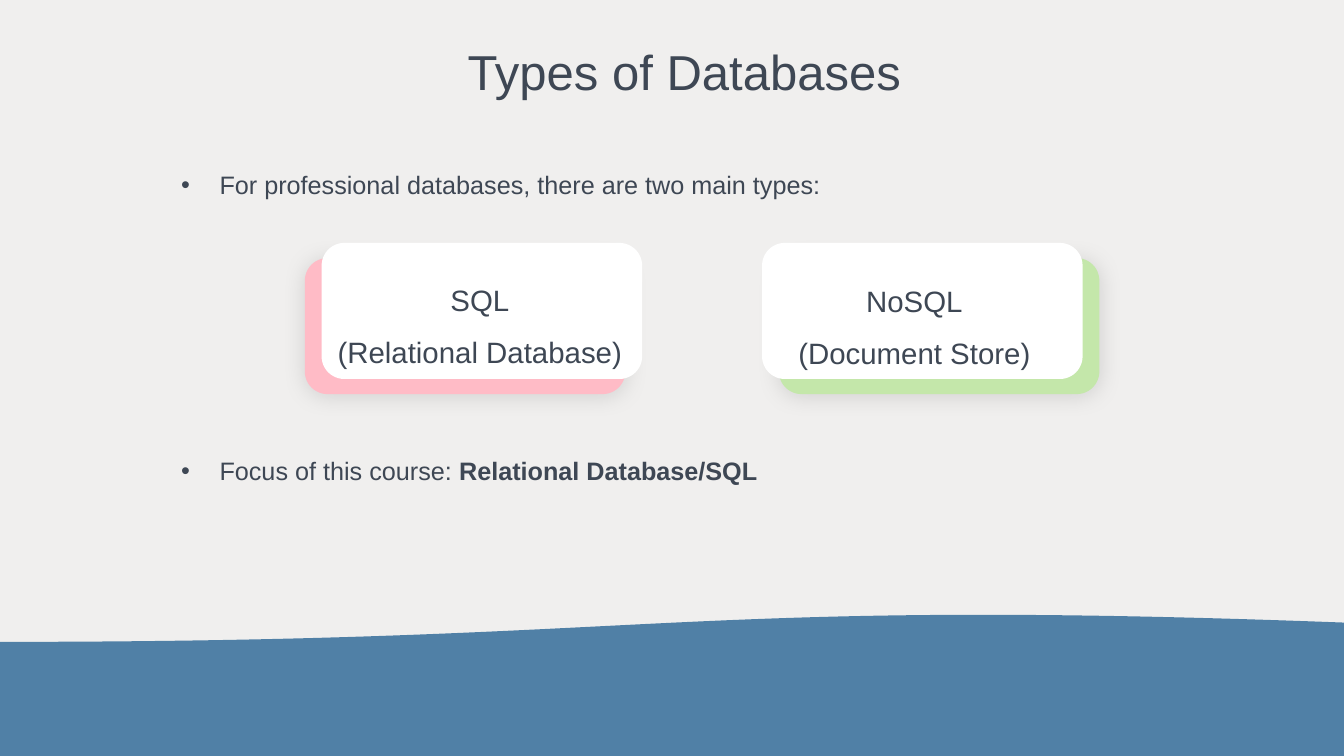
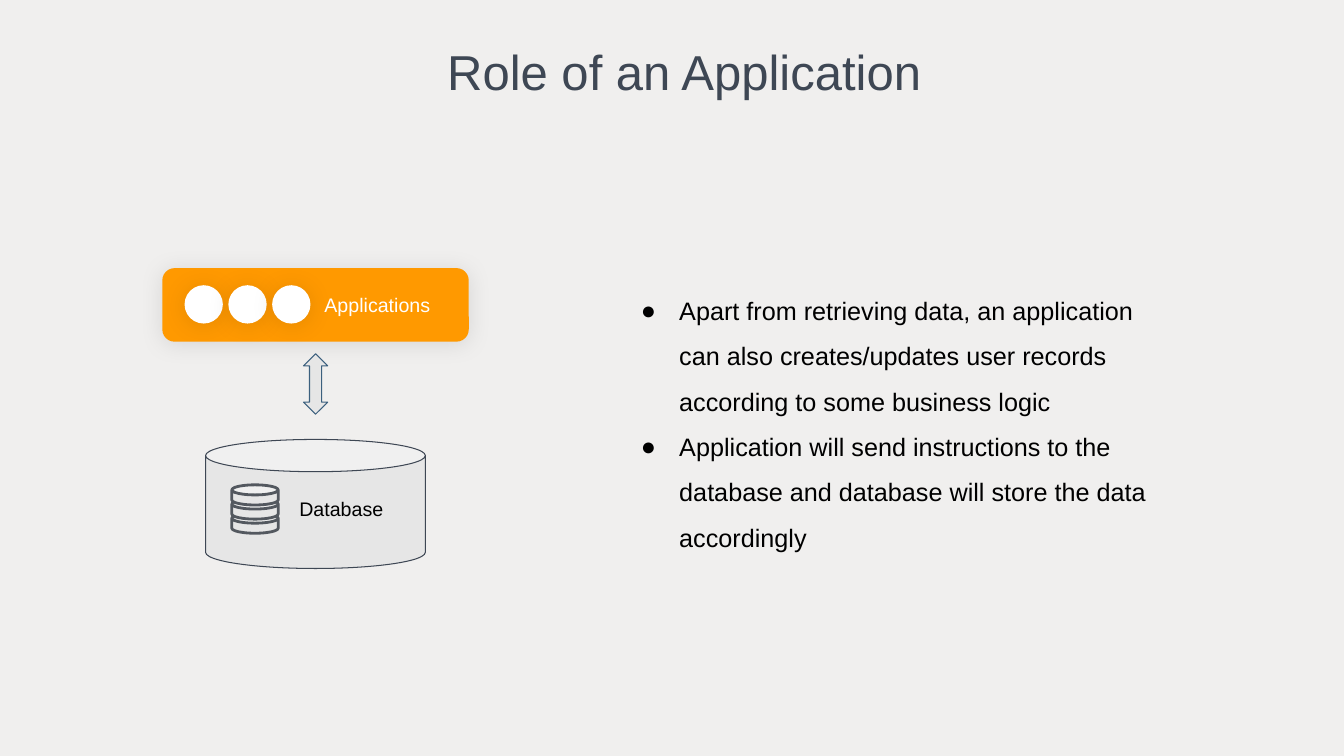
from lxml.etree import SubElement
from pptx import Presentation
from pptx.dml.color import RGBColor
from pptx.enum.shapes import MSO_SHAPE
from pptx.enum.text import MSO_ANCHOR, PP_ALIGN
from pptx.oxml.ns import qn
from pptx.util import Inches, Pt

COLORS = {
    "background": "F0EFEE", "ink": "3E4754", "wave": "5080A6",
    "white": "FFFFFF", "black": "000000", "pink": "FFBBC6",
    "green": "C4E7AA", "orange": "FF9900", "gray": "E6E6E6",
    "arrow": "3C607E", "icon": "53585F",
}
FONT = "Arial"

# Content; every area is left, top, width, height in percent of the slide
TITLE_AREA = (8.78, 2.13, 84.3, 15.47)
TYPES = {
    "title": "Types of Databases",
    "wave": (0, 81.07, 100, 19.33),
    "points": [
        ((11.85, 19.73, 77.18, 18),
         [("For professional databases, there are two main types:", False)]),
        ((11.85, 57.6, 77.18, 11.87),
         [("Focus of this course: ", False), ("Relational Database/SQL", True)]),
    ],
    # Card left, label left, label top, side of the coloured edge, its colour
    "cards": [
        (23.93, 21.9, 34.27, -1, "pink", ["SQL", "(Relational Database)"]),
        (56.7, 54.23, 34.4, 1, "green", ["NoSQL", "(Document Store)"]),
    ],
}
CARD_TOP, CARD_SIZE, CARD_SHIFT = 32.13, (23.85, 18), (1.25, 2)
LABEL_SIZE = (27.6, 14.53)

ROLE = {
    "title": "Role of an Application",
    "points": [
        "Apart from retrieving data, an application can also creates/updates "
        "user records according to some business logic",
        "Application will send instructions to the database and database will "
        "store the data accordingly",
    ],
    "points_area": (46.05, 35.73, 40.73, 37.07),
    "applications": (12.08, 35.47, 22.8, 9.73),
    "arrow": (22.58, 46.8, 1.8, 8),
    "database": (15.3, 58.13, 16.35, 17.07),
    "labels": [
        ("Applications", (23.4, 37.47, 10, 5.87), "white"),
        ("Database", (21.53, 64.4, 8.5, 5.87), "black"),
    ],
}
ICON_COUNT, ICON_STEP = 3, 3.26
ICON_AREA = (13.73, 37.73, 2.85, 5.07)
DISC_COUNT, DISC_STEP = 3, 1.87
DISC_AREA = (17.25, 64.13, 3.45, 2.67)

deck = Presentation()
deck.slide_width, deck.slide_height = Inches(13.33), Inches(7.5)


def color(name):
    return RGBColor.from_string(COLORS[name])


def place(area):
    left, top, width, height = area
    return (int(deck.slide_width * left / 100), int(deck.slide_height * top / 100),
            int(deck.slide_width * width / 100), int(deck.slide_height * height / 100))


def add_shadow(shape, opacity):
    effects = shape._element.spPr.find(qn("a:effectLst"))
    shadow = SubElement(effects, qn("a:outerShdw"), blurRad=str(Pt(16.9)),
                        dist=str(Pt(1.5)), dir="5400000", algn="t", rotWithShape="0")
    tint = SubElement(shadow, qn("a:srgbClr"), val=COLORS["black"])
    SubElement(tint, qn("a:alpha"), val=str(opacity * 1000))


def add_shape(page, kind, area, fill, line=None, weight=0.75, opacity=0):
    shape = page.shapes.add_shape(kind, *place(area))
    shape.shadow.inherit = False
    shape.fill.solid()
    shape.fill.fore_color.rgb = color(fill)
    if line:
        shape.line.color.rgb = color(line)
        shape.line.width = Pt(weight)
    else:
        shape.line.fill.background()
    if opacity:
        add_shadow(shape, opacity)
    return shape


def add_bullet(para, symbol, ink):
    settings = para._p.get_or_add_pPr()
    settings.set("marL", str(Inches(0.5)))
    settings.set("indent", str(Inches(-0.38)))
    tint = SubElement(settings, qn("a:buClr"))
    SubElement(tint, qn("a:srgbClr"), val=COLORS[ink])
    SubElement(settings, qn("a:buFont"), typeface=FONT)
    SubElement(settings, qn("a:buChar"), char=symbol)


def add_text(page, area, paragraphs, size, ink="ink", align=PP_ALIGN.LEFT,
             spacing=1.5, bullet=None, inset=0.05, anchor=MSO_ANCHOR.TOP):
    """Each paragraph is a list of (text, bold) spans."""
    box = page.shapes.add_textbox(*place(area))
    frame = box.text_frame
    frame.word_wrap = True
    frame.vertical_anchor = anchor
    frame.margin_left = frame.margin_right = Inches(0.1)
    frame.margin_top = frame.margin_bottom = Inches(inset)
    for index, spans in enumerate(paragraphs):
        para = frame.add_paragraph() if index else frame.paragraphs[0]
        para.alignment = align
        para.line_spacing = spacing
        if bullet:
            add_bullet(para, bullet, ink)
        for text, bold in spans:
            span = para.add_run()
            span.text = text
            span.font.name = FONT
            span.font.size = Pt(size)
            span.font.bold = bold
            span.font.color.rgb = color(ink)


def plain(lines):
    return [[(line, False)] for line in lines]


def add_page(title):
    page = deck.slides.add_slide(deck.slide_layouts[6])
    page.background.fill.solid()
    page.background.fill.fore_color.rgb = color("background")
    add_text(page, TITLE_AREA, plain([title]), 35, align=PP_ALIGN.CENTER,
             spacing=0.9, anchor=MSO_ANCHOR.MIDDLE)
    return page


def build_types():
    page = add_page(TYPES["title"])
    wave = add_shape(page, MSO_SHAPE.FLOWCHART_DOCUMENT, TYPES["wave"], "wave")
    wave.rotation = 180
    # Cards with a coloured edge behind
    for left, label_left, label_top, side, edge, lines in TYPES["cards"]:
        shift_x, shift_y = CARD_SHIFT
        add_shape(page, MSO_SHAPE.ROUNDED_RECTANGLE,
                  (left + side * shift_x, CARD_TOP + shift_y, *CARD_SIZE),
                  edge, opacity=13)
        add_shape(page, MSO_SHAPE.ROUNDED_RECTANGLE,
                  (left, CARD_TOP, *CARD_SIZE), "white")
        add_text(page, (label_left, label_top, *LABEL_SIZE), plain(lines), 21,
                 align=PP_ALIGN.CENTER)
    for area, spans in TYPES["points"]:
        add_text(page, area, [spans], 18, bullet="•")


def build_role():
    page = add_page(ROLE["title"])
    # Applications bar with plain app icons
    add_shape(page, MSO_SHAPE.ROUNDED_RECTANGLE, ROLE["applications"],
              "orange", opacity=9)
    left, top, width, height = ICON_AREA
    for index in range(ICON_COUNT):
        add_shape(page, MSO_SHAPE.OVAL,
                  (left + index * ICON_STEP, top, width, height), "white", opacity=9)
    # Arrow and database, discs stacked from the bottom up
    add_shape(page, MSO_SHAPE.UP_DOWN_ARROW, ROLE["arrow"], "gray", "arrow")
    add_shape(page, MSO_SHAPE.CAN, ROLE["database"], "gray", "ink")
    left, top, width, height = DISC_AREA
    for index in reversed(range(DISC_COUNT)):
        disc = add_shape(page, MSO_SHAPE.CAN,
                         (left, top + index * DISC_STEP, width, height),
                         "gray", "icon", 2)
        disc.adjustments[0] = 0.5
    for text, area, ink in ROLE["labels"]:
        add_text(page, area, plain([text]), 14, ink, spacing=1, inset=0.1)
    add_text(page, ROLE["points_area"], plain(ROLE["points"]), 18, "black",
             bullet="●", inset=0.1)


def main():
    build_types()
    build_role()
    deck.save("out.pptx")


if __name__ == "__main__":
    main()
